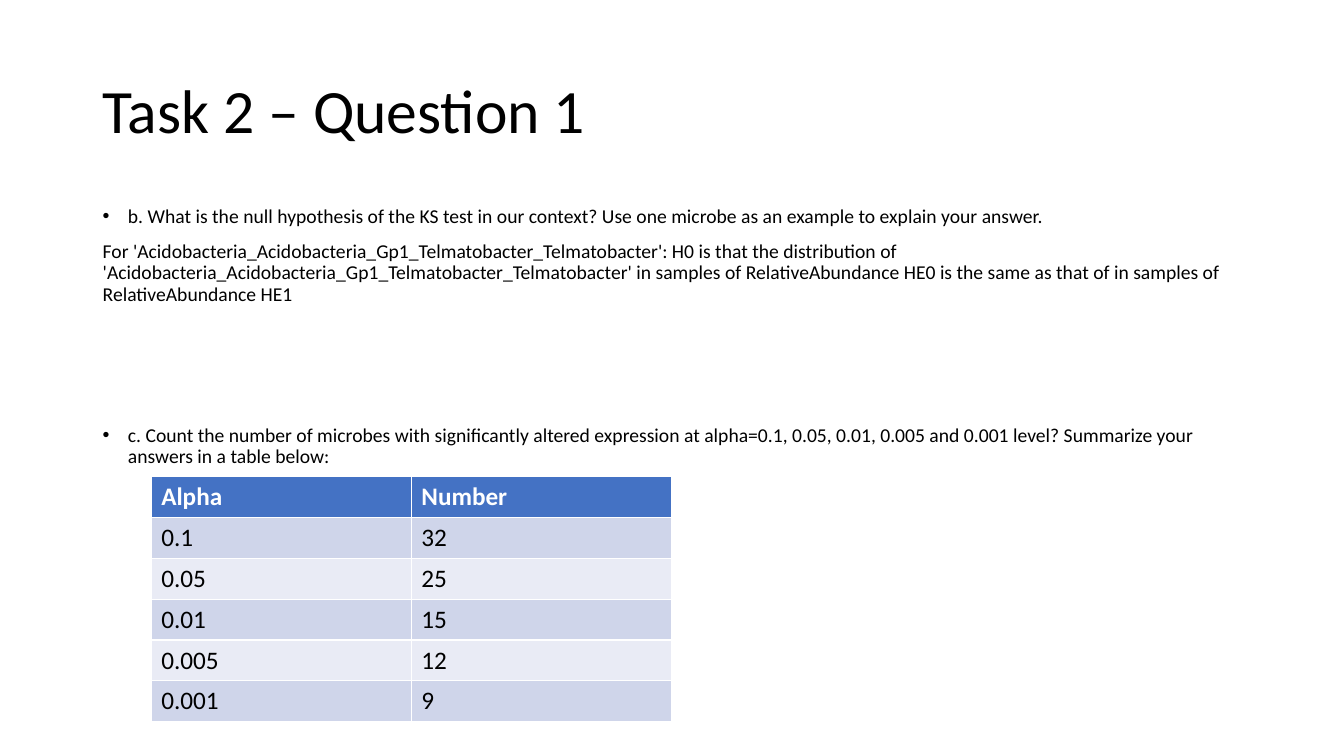
import pptx
import pptx.util
import pptx.dml.color
import pptx.enum.text
import pptx.oxml
import pptx.oxml.ns

Inches, Pt = pptx.util.Inches, pptx.util.Pt
ANCHOR = pptx.enum.text.MSO_ANCHOR
COLORS = {"text": "000000", "head": "4472C4", "head_text": "FFFFFF",
          "band_dark": "CFD5EA", "band_light": "E9EBF5"}

prs = pptx.Presentation()
prs.slide_width, prs.slide_height = Inches(13.33), Inches(7.5)
s = prs.slides.add_slide(prs.slide_layouts[6])
margin = Inches(0.92)
text_width = prs.slide_width - 2 * margin


def set_font(p, size, color="text", bold=False):
    p.font.name, p.font.size, p.font.bold = "Calibri", Pt(size), bold
    p.font.color.rgb = pptx.dml.color.RGBColor.from_string(COLORS[color])


def add_text(top, height, anchor):
    tf = s.shapes.add_textbox(margin, Inches(top), text_width, Inches(height)).text_frame
    tf.word_wrap, tf.vertical_anchor = True, anchor
    return tf


p = add_text(0.4, 1.45, ANCHOR.MIDDLE).paragraphs[0]
p.text, p.line_spacing = "Task 2 – Question 1", 0.9
set_font(p, 44)

microbe = "'Acidobacteria_Acidobacteria_Gp1_Telmatobacter_Telmatobacter'"
body = [
    ("b. What is the null hypothesis of the KS test in our context? "
     "Use one microbe as an example to explain your answer.", True, 10),
    (f"For {microbe}: H0 is that the distribution of {microbe} in samples of "
     "RelativeAbundance HE0 is the same as that of in samples of "
     "RelativeAbundance HE1", False, 10),
    ("c. Count the number of microbes with significantly altered expression at "
     "alpha=0.1, 0.05, 0.01, 0.005 and 0.001 level? "
     "Summarize your answers in a table below:", True, 86),
]
tf = add_text(2, 4.76, ANCHOR.TOP)
for i, (text, bulleted, gap) in enumerate(body):
    p = tf.add_paragraph() if i else tf.paragraphs[0]
    p.text, p.line_spacing, p.space_before = text, 0.9, Pt(gap)
    set_font(p, 14)
    if bulleted:
        pPr = p._p.get_or_add_pPr()
        pPr.set("marL", str(Inches(0.25)))
        pPr.set("indent", str(-Inches(0.25)))
        ns = pptx.oxml.ns.nsdecls("a")
        for xml in (f'<a:buFont {ns} typeface="Arial"/>', f'<a:buChar {ns} char="•"/>'):
            pPr.insert_element_before(pptx.oxml.parse_xml(xml), "a:tabLst", "a:defRPr")

rows = [("Alpha", "Number"), ("0.1", "32"), ("0.05", "25"),
        ("0.01", "15"), ("0.005", "12"), ("0.001", "9")]
col_width, row_height = Inches(2.58), Inches(0.405)
table = s.shapes.add_table(len(rows), 2, Inches(1.5), Inches(4.73),
                           2 * col_width, len(rows) * row_height).table
for r, values in enumerate(rows):
    fill = "head" if r == 0 else "band_dark" if r % 2 else "band_light"
    for c, value in enumerate(values):
        cell = table.cell(r, c)
        cell.text = value
        cell.fill.solid()
        cell.fill.fore_color.rgb = pptx.dml.color.RGBColor.from_string(COLORS[fill])
        set_font(cell.text_frame.paragraphs[0], 18,
                 "text" if r else "head_text", r == 0)

prs.save("out.pptx")
